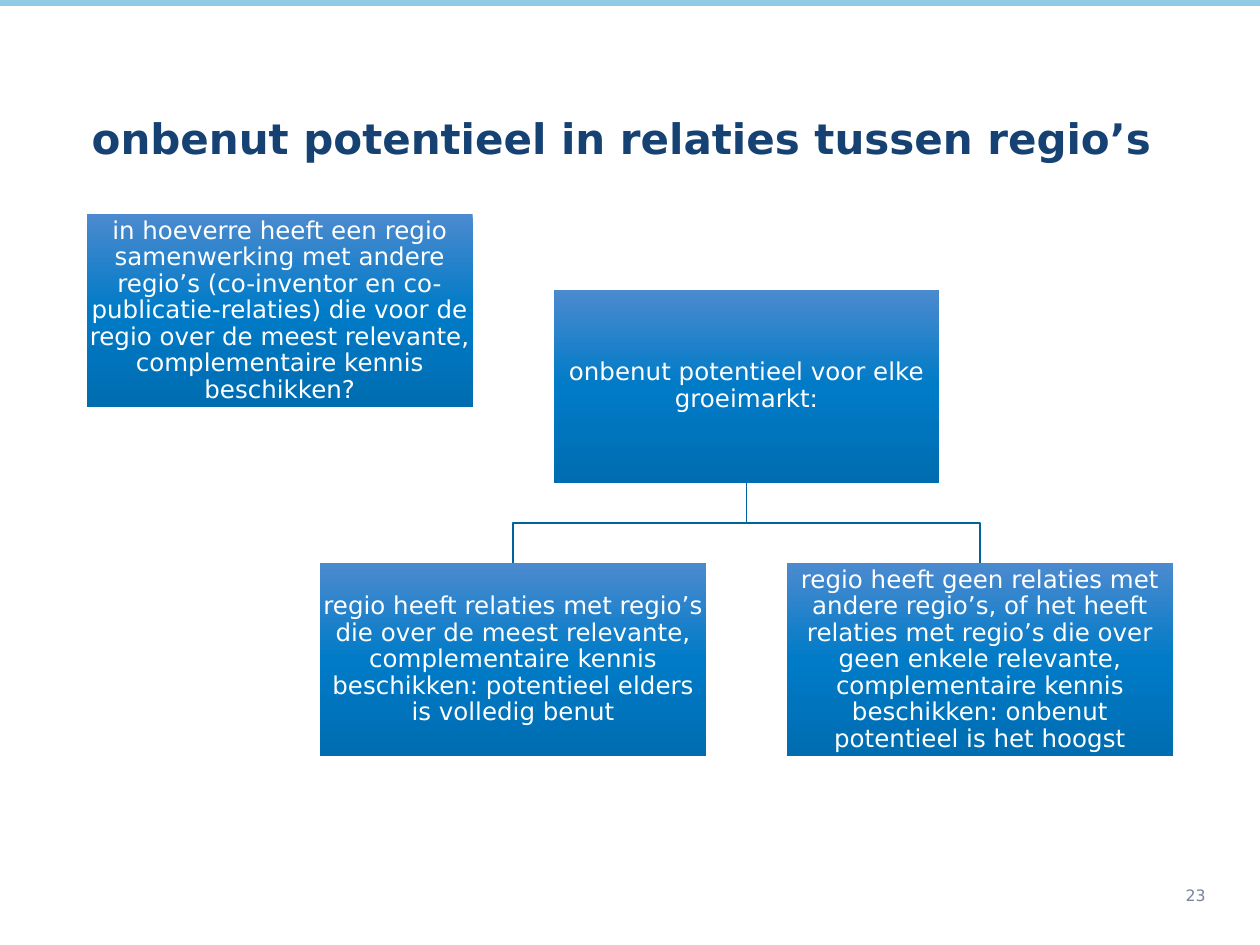
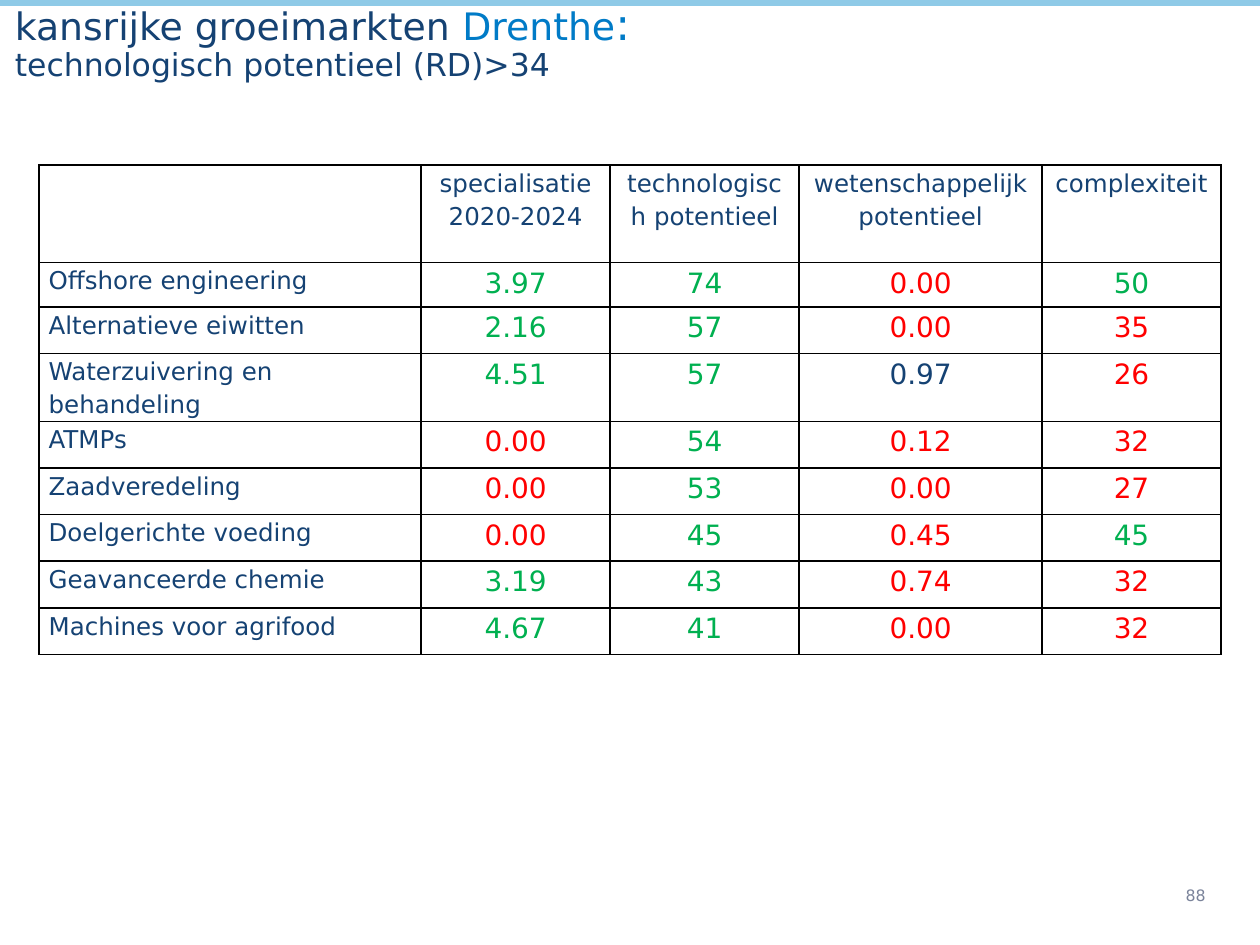
from copy import deepcopy
from dataclasses import dataclass
from typing import NamedTuple, Optional

from lxml.etree import SubElement
from pptx import Presentation
from pptx.dml.color import RGBColor
from pptx.enum.shapes import MSO_SHAPE
from pptx.enum.text import MSO_ANCHOR, PP_ALIGN
from pptx.oxml.ns import qn
from pptx.util import Cm, Pt


@dataclass(frozen=True)
class Theme:
    font: str = "DejaVu Sans"
    navy: str = "154273"
    blue: str = "007BC7"
    band: str = "8FCAE7"
    link: str = "00639F"
    white: str = "FFFFFF"
    grey: str = "7A839A"
    black: str = "000000"
    green: str = "00B050"
    red: str = "FF0000"
    gradient: tuple = ((0, "4B8ACF"), (0.5, "007BC7"), (1, "006DB1"))
    title_size: float = 24
    region_title_size: float = 21.6
    colon_size: float = 25.2
    subtitle_size: float = 18
    body_size: float = 14
    value_size: float = 16
    number_size: float = 9


THEME = Theme()


class Area(NamedTuple):
    left: float
    top: float
    width: float
    height: float

    def lengths(self) -> list:
        return [Cm(value) for value in self]


class Card(NamedTuple):
    left: float
    top: float
    text: str


class Column(NamedTuple):
    heading: str
    width: float
    low: float
    high: float


class Market(NamedTuple):
    name: str
    values: tuple


CARD_WIDTH, CARD_HEIGHT, CARD_PITCH = 7.78, 3.89, 9.41
CARD_LEFT, PARENT_TOP, CHILD_TOP = 1.75, 5.84, 11.36
PARENT_LEFT = CARD_LEFT + CARD_PITCH

QUESTION = Card(
    CARD_LEFT, 4.32,
    "in hoeverre heeft een regio samenwerking met andere regio’s (co-inventor en "
    "co-publicatie-relaties) die voor de regio over de meest relevante, "
    "complementaire kennis beschikken?",
)
PARENT = Card(PARENT_LEFT, PARENT_TOP, "onbenut potentieel voor elke groeimarkt:")
CHILDREN = [
    Card(
        PARENT_LEFT - CARD_PITCH / 2, CHILD_TOP,
        "regio heeft relaties met regio’s die over de meest relevante, "
        "complementaire kennis beschikken: potentieel elders is volledig benut",
    ),
    Card(
        PARENT_LEFT + CARD_PITCH / 2, CHILD_TOP,
        "regio heeft geen relaties met andere regio’s, of het heeft relaties met "
        "regio’s die over geen enkele relevante, complementaire kennis beschikken: "
        "onbenut potentieel is het hoogst",
    ),
]

NAME_WIDTH = 7.7
COLUMNS = [
    Column("specialisatie 2020-2024", 3.81, 1, 1),
    Column("technologisch potentieel", 3.81, 34, 34),
    Column("wetenschappelijk potentieel", 4.9, 0.9, 1.1),
    Column("complexiteit", 3.6, 40, 40),
]
MARKETS = [
    Market("Offshore engineering", ("3.97", "74", "0.00", "50")),
    Market("Alternatieve eiwitten", ("2.16", "57", "0.00", "35")),
    Market("Waterzuivering en behandeling", ("4.51", "57", "0.97", "26")),
    Market("ATMPs", ("0.00", "54", "0.12", "32")),
    Market("Zaadveredeling", ("0.00", "53", "0.00", "27")),
    Market("Doelgerichte voeding", ("0.00", "45", "0.45", "45")),
    Market("Geavanceerde chemie", ("3.19", "43", "0.74", "32")),
    Market("Machines voor agrifood", ("4.67", "41", "0.00", "32")),
]


def write_text(
    para, text: str, *, size: float, color: str = THEME.navy, bold: bool = False,
    align: Optional[PP_ALIGN] = None, line_spacing: float = 0.9, space_after: float = 0,
) -> None:
    para.line_spacing = line_spacing
    para.space_before = Pt(0)
    para.space_after = Pt(space_after)
    if align is not None:
        para.alignment = align
    for index, line in enumerate(text.split("\n")):
        if index:
            para.add_line_break()
        if line:
            span = para.add_run()
            span.text = line
            span.font.name = THEME.font
            span.font.size = Pt(size)
            span.font.bold = bold
            span.font.color.rgb = RGBColor.from_string(color)


def add_text_box(page, area: Area, anchor: MSO_ANCHOR):
    frame = page.shapes.add_textbox(*area.lengths()).text_frame
    frame.word_wrap = True
    frame.vertical_anchor = anchor
    return frame


def add_page(deck, number: int):
    page = deck.slides.add_slide(deck.slide_layouts[6])
    band = page.shapes.add_shape(MSO_SHAPE.RECTANGLE, 0, 0, deck.slide_width, Cm(0.1))
    band.shadow.inherit = False
    band.fill.solid()
    band.fill.fore_color.rgb = RGBColor.from_string(THEME.band)
    band.line.color.rgb = RGBColor.from_string(THEME.band)
    band.line.width = Pt(0.75)
    frame = add_text_box(page, Area(23.65, 17.53, 1.73, 1.04), MSO_ANCHOR.MIDDLE)
    write_text(frame.paragraphs[0], str(number), size=THEME.number_size,
               color=THEME.grey, line_spacing=1)
    return page


def add_title(page, area: Area):
    return add_text_box(page, area, MSO_ANCHOR.BOTTOM)


def add_card(page, card: Card) -> None:
    area = Area(card.left, card.top, CARD_WIDTH, CARD_HEIGHT)
    box = page.shapes.add_shape(MSO_SHAPE.RECTANGLE, *area.lengths())
    box.shadow.inherit = False
    box.line.fill.background()
    box.fill.gradient()
    box.fill.gradient_angle = 270
    stop_list = box.element.spPr.find(qn("a:gradFill")).find(qn("a:gsLst"))
    stop_list.append(deepcopy(stop_list[0]))
    for stop, (position, color) in zip(box.fill.gradient_stops, THEME.gradient):
        stop.position = position
        stop.color.rgb = RGBColor.from_string(color)
    frame = box.text_frame
    frame.word_wrap = True
    frame.vertical_anchor = MSO_ANCHOR.MIDDLE
    frame.margin_left = frame.margin_right = Cm(0.03)
    frame.margin_top = frame.margin_bottom = Cm(0.03)
    write_text(frame.paragraphs[0], card.text, size=THEME.body_size,
               color=THEME.white, align=PP_ALIGN.CENTER)


def add_branch(page, parent: Card, child: Card) -> None:
    start_x, end_x = (Cm(card.left + CARD_WIDTH / 2) for card in (parent, child))
    start_y, end_y = Cm(parent.top + CARD_HEIGHT), Cm(child.top)
    bend_y = (start_y + end_y) // 2
    builder = page.shapes.build_freeform(start_x, start_y)
    builder.add_line_segments(
        [(start_x, bend_y), (end_x, bend_y), (end_x, end_y)], close=False
    )
    branch = builder.convert_to_shape()
    branch.shadow.inherit = False
    branch.fill.background()
    branch.line.color.rgb = RGBColor.from_string(THEME.link)
    branch.line.width = Pt(1)


def style_cell(cell) -> None:
    cell.margin_left = cell.margin_right = Cm(0.19)
    cell.margin_top = cell.margin_bottom = 0
    properties = cell._tc.get_or_add_tcPr()
    for side in ("a:lnL", "a:lnR", "a:lnT", "a:lnB"):
        border = SubElement(properties, qn(side), w=str(Pt(1)))
        fill = SubElement(border, qn("a:solidFill"))
        SubElement(fill, qn("a:srgbClr"), val=THEME.black)
    cell.fill.background()


def fill_cell(cell, text: str, size: float = THEME.body_size,
              color: str = THEME.navy, align: PP_ALIGN = PP_ALIGN.CENTER) -> None:
    write_text(cell.text_frame.paragraphs[0], text, size=size, color=color,
               align=align, line_spacing=1.15, space_after=10)


def score_color(value: str, column: Column) -> str:
    score = float(value)
    if score >= column.high:
        return THEME.green
    return THEME.red if score < column.low else THEME.navy


def add_market_table(page) -> None:
    widths = [NAME_WIDTH] + [column.width for column in COLUMNS]
    heights = [1.96, 0.9] + [0.94] * (len(MARKETS) - 1)
    area = Area(0.79, 3.33, sum(widths), sum(heights))
    table = page.shapes.add_table(len(heights), len(widths), *area.lengths()).table
    table.first_row = table.horz_banding = False
    for table_column, width in zip(table.columns, widths):
        table_column.width = Cm(width)
    for table_row, height in zip(table.rows, heights):
        table_row.height = Cm(height)
    for cell in table.iter_cells():
        style_cell(cell)
    for column_index, column in enumerate(COLUMNS, 1):
        fill_cell(table.cell(0, column_index), column.heading)
    for row_index, market in enumerate(MARKETS, 1):
        fill_cell(table.cell(row_index, 0), market.name, align=PP_ALIGN.LEFT)
        for column_index, (value, column) in enumerate(zip(market.values, COLUMNS), 1):
            fill_cell(table.cell(row_index, column_index), value,
                      size=THEME.value_size, color=score_color(value, column))


def build_relations_page(deck) -> None:
    page = add_page(deck, 23)
    title = add_title(page, Area(1.6, 1.02, 22.89, 2.41))
    write_text(title.paragraphs[0], "onbenut potentieel in relaties tussen regio’s",
               size=THEME.title_size, bold=True)
    for child in CHILDREN:
        add_branch(page, PARENT, child)
    for card in (QUESTION, PARENT, *CHILDREN):
        add_card(page, card)


def build_markets_page(deck) -> None:
    page = add_page(deck, 88)
    title = add_title(page, Area(0.05, 0.91, 25.3, 1.8))
    title.margin_bottom = Cm(1.02)
    para = title.paragraphs[0]
    write_text(para, "kansrijke groeimarkten ", size=THEME.region_title_size)
    write_text(para, "Drenthe", size=THEME.region_title_size, color=THEME.blue)
    write_text(para, ":\n", size=THEME.colon_size, color=THEME.blue)
    write_text(para, "technologisch potentieel (RD)>34", size=THEME.subtitle_size)
    add_market_table(page)


def main() -> None:
    deck = Presentation()
    deck.slide_width, deck.slide_height = Cm(25.4), Cm(19.05)
    build_relations_page(deck)
    build_markets_page(deck)
    deck.save("out.pptx")


if __name__ == "__main__":
    main()
